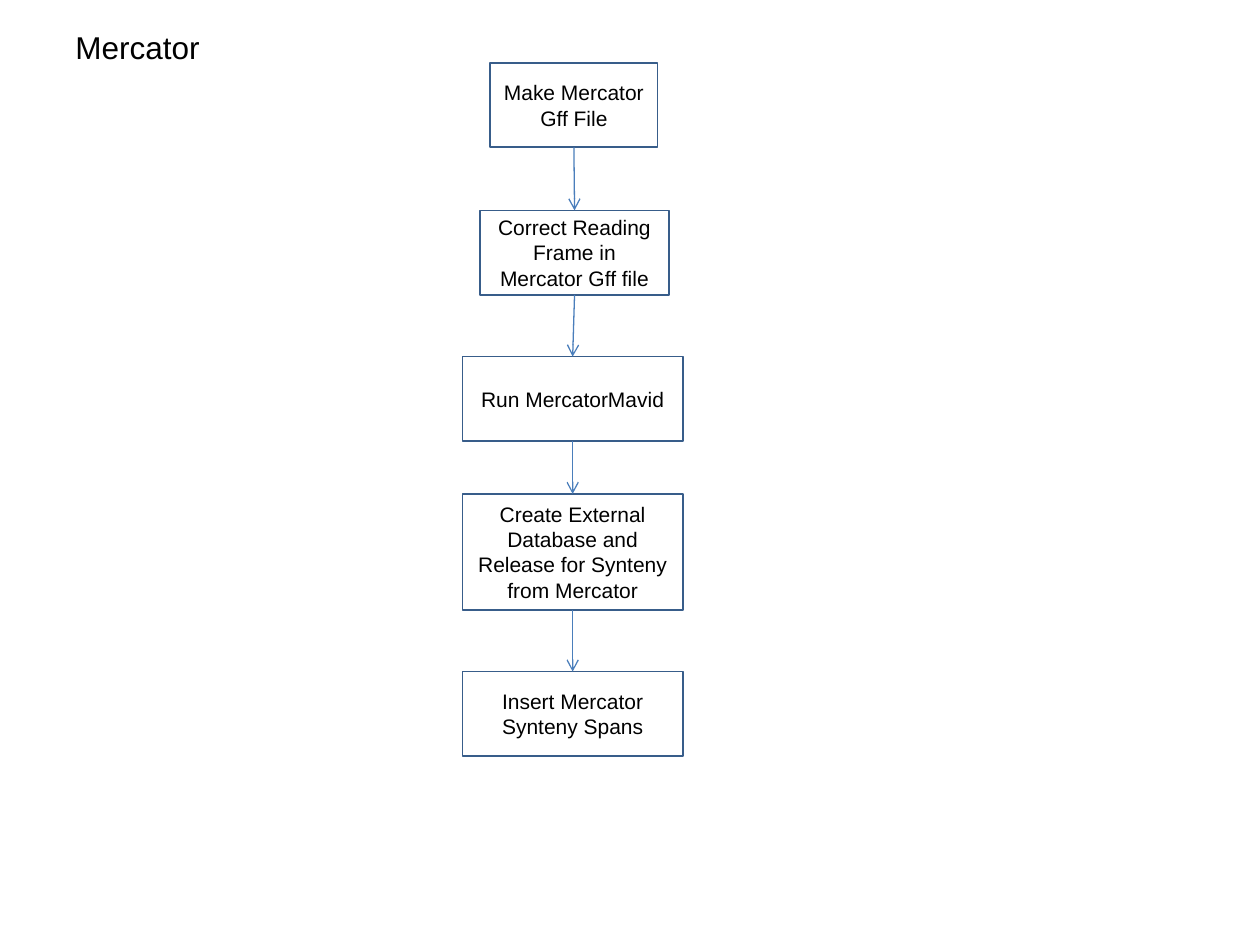
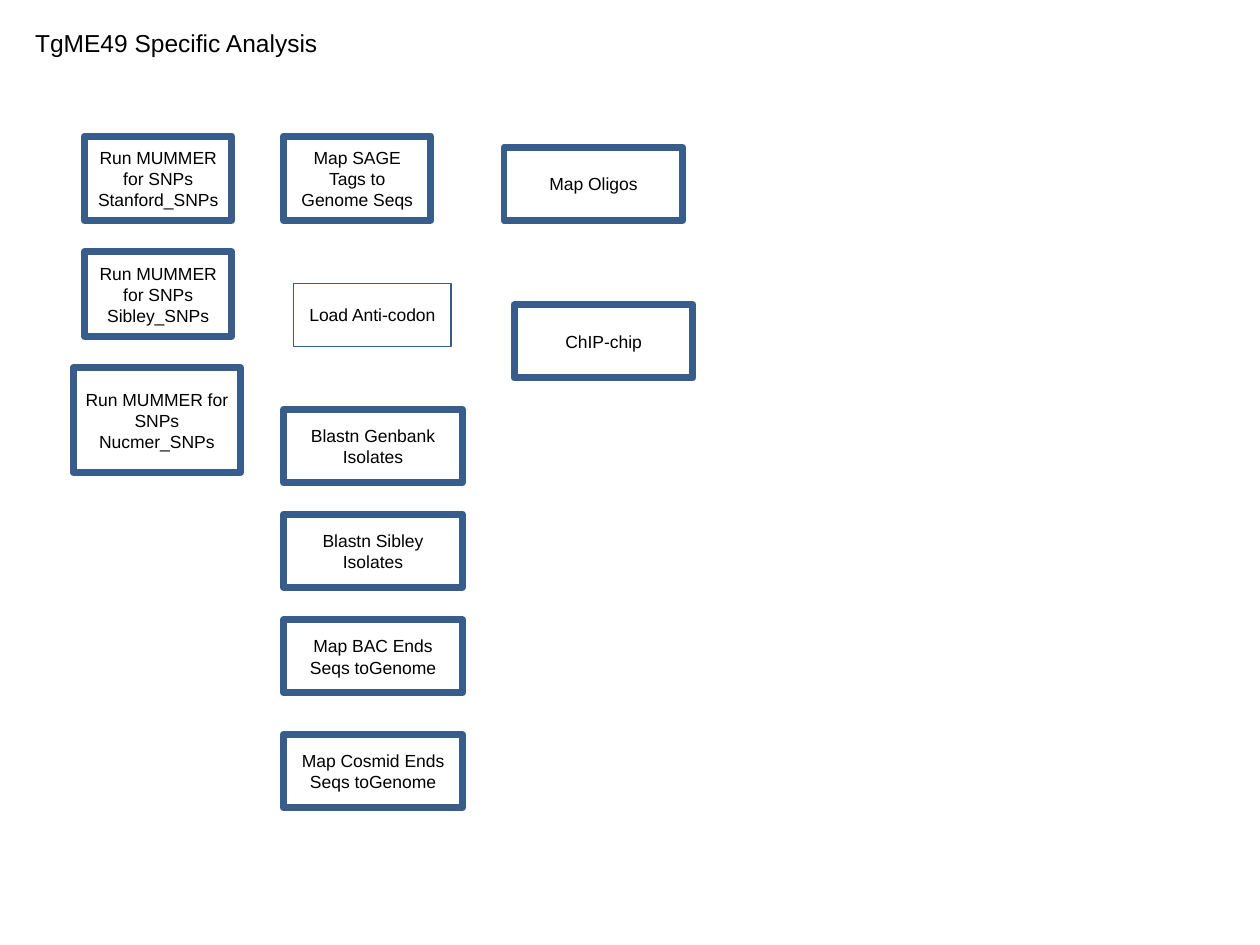
import pptx
import pptx.dml.color
import pptx.enum.shapes
import pptx.enum.text
import pptx.oxml.ns
import pptx.util
from lxml import etree

Inches = pptx.util.Inches
Pt = pptx.util.Pt

COLORS = {"text": "000000", "border": "385D8A", "arrow": "4A7EBB"}
FONT = "Arial"
THIN, THICK = 1, 4


def rgb(name):
    return pptx.dml.color.RGBColor.from_string(COLORS[name])


def set_text(sp, text, size, align, anchor):
    tf = sp.text_frame
    tf.word_wrap = True
    tf.vertical_anchor = anchor
    tf.text = text
    for p in tf.paragraphs:
        p.alignment = align
        for r in p.runs:
            r.font.name = FONT
            r.font.size = Pt(size)
            r.font.color.rgb = rgb("text")


def add_title(s, box, text, size):
    sp = s.shapes.add_textbox(*map(Inches, box))
    set_text(sp, text, size, pptx.enum.text.PP_ALIGN.LEFT,
             pptx.enum.text.MSO_ANCHOR.TOP)
    sp.text_frame.margin_right = 0


def add_step(s, box, text, size, border):
    sp = s.shapes.add_shape(pptx.enum.shapes.MSO_SHAPE.RECTANGLE, *map(Inches, box))
    sp.shadow.inherit = False
    sp.fill.background()
    sp.line.color.rgb = rgb("border")
    sp.line.width = Pt(border)
    set_text(sp, text, size, pptx.enum.text.PP_ALIGN.CENTER,
             pptx.enum.text.MSO_ANCHOR.MIDDLE)
    return sp


def add_arrow(s, upper, lower):
    c = s.shapes.add_connector(pptx.enum.shapes.MSO_CONNECTOR.STRAIGHT, 0, 0, 0, 0)
    c.begin_connect(upper, 2)
    c.end_connect(lower, 0)
    c.line.color.rgb = rgb("arrow")
    c.line.width = Pt(0.75)
    qn = pptx.oxml.ns.qn
    etree.SubElement(c.line._get_or_add_ln(), qn("a:tailEnd"), type="arrow")
    etree.SubElement(c._element.spPr, qn("a:effectLst"))


def add_flow(s, left, top, steps):
    previous = None
    for dx, dy, width, height, text in steps:
        step = add_step(s, (left + dx, top + dy, width, height), text, 12, THIN)
        if previous is not None:
            add_arrow(s, previous, step)
        previous = step


def add_column(s, left, top, steps):
    for dx, dy, width, height, text, border in steps:
        add_step(s, (left + dx, top + dy, width, height), text, 10, border)


def build_mercator(s):
    add_title(s, (0.5, 0.17, 2.75, 0.4), "Mercator", 18)
    add_flow(s, 3.67, 0.5, [
        (0.22, 0, 1.33, 0.67, "Make Mercator Gff File"),
        (0.14, 1.17, 1.5, 0.67, "Correct Reading Frame in Mercator Gff file"),
        (0, 2.33, 1.75, 0.67, "Run MercatorMavid"),
        (0, 3.42, 1.75, 0.92,
         "Create External Database and Release for Synteny from Mercator"),
        (0, 4.83, 1.75, 0.67, "Insert Mercator Synteny Spans"),
    ])


def build_specific_analysis(s):
    add_title(s, (0.18, 0.17, 2.45, 0.34), "TgME49 Specific Analysis", 14)
    small, wide = (1.17, 0.67), (1.42, 0.58)
    snps = "Run MUMMER for SNPs\n"
    add_column(s, 0.67, 1.08, [
        (0, 0, *small, snps + "Stanford_SNPs", THICK),
        (0, 0.92, *small, snps + "Sibley_SNPs", THICK),
        (-0.09, 1.84, 1.33, 0.83, snps + "Nucmer_SNPs", THICK),
    ])
    add_column(s, 2.25, 1.08, [
        (0, 0, *small, "Map SAGE Tags to Genome Seqs", THICK),
        (0.08, 1.17, 1.25, 0.5, "Load Anti-codon", THIN),
        (0, 2.17, *wide, "Blastn Genbank Isolates", THICK),
        (0, 3, *wide, "Blastn Sibley Isolates", THICK),
        (0, 3.84, *wide, "Map BAC Ends Seqs toGenome", THICK),
        (0, 4.75, *wide, "Map Cosmid Ends Seqs toGenome", THICK),
    ])
    add_column(s, 4, 1.17, [
        (0, 0, *wide, "Map Oligos", THICK),
        (0.08, 1.25, *wide, "ChIP-chip", THICK),
    ])


def main():
    prs = pptx.Presentation()
    prs.slide_width = Inches(10)
    prs.slide_height = Inches(7.5)
    for build in (build_mercator, build_specific_analysis):
        build(prs.slides.add_slide(prs.slide_layouts[6]))
    prs.save("out.pptx")


if __name__ == "__main__":
    main()
